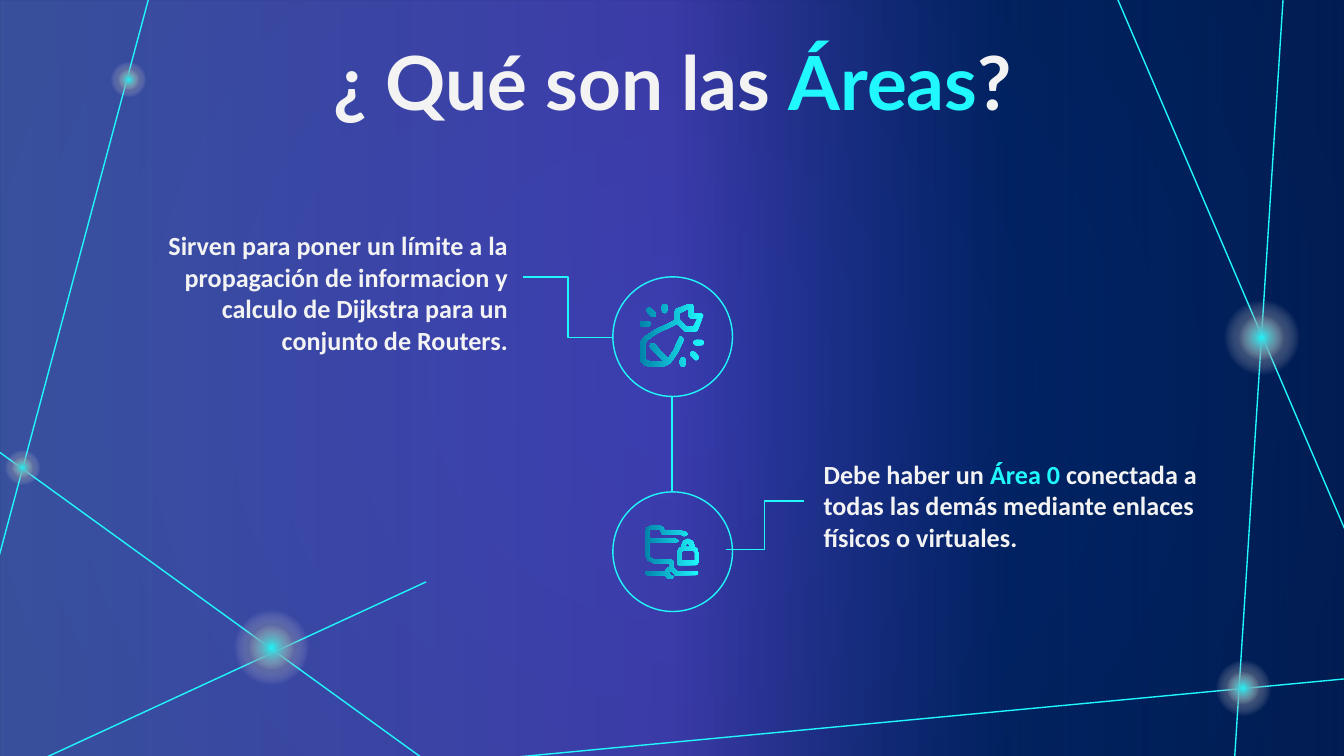
import math
from dataclasses import dataclass
from typing import NamedTuple

import pptx
import pptx.dml.color
import pptx.enum.shapes
import pptx.enum.text
import pptx.oxml.ns
import pptx.util
from lxml import etree

Inches = pptx.util.Inches
qn = pptx.oxml.ns.qn
Shapes = pptx.enum.shapes.MSO_SHAPE
Connectors = pptx.enum.shapes.MSO_CONNECTOR
Align = pptx.enum.text.PP_ALIGN


@dataclass(frozen=True)
class Theme:
    cyan: str = "20F8FD"
    teal: str = "0182AA"
    white: str = "F3F3F3"
    navy: str = "00183A"
    blue: str = "012060"
    title_font: str = "Lato"
    body_font: str = "Calibri"
    title_size: int = 40
    body_size: int = 14
    line_width: float = 0.75


class Stop(NamedTuple):
    position: int
    color: str
    opacity: int = 100


class Link(NamedTuple):
    x1: float
    y1: float
    x2: float
    y2: float
    kind: int = Connectors.STRAIGHT


class Glow(NamedTuple):
    x: float
    y: float
    size: float


class Note(NamedTuple):
    left: float
    top: float
    width: float
    spans: tuple
    align: int


THEME = Theme()
WIDTH = 10
HEIGHT = WIDTH * 9 / 16
ICON_STOPS = [Stop(0, THEME.cyan), Stop(100, THEME.teal)]
VEIL_STOPS = [Stop(0, "748BFF", 49), Stop(50, "7659FF", 50),
              Stop(75, "022E88", 35), Stop(100, THEME.blue, 60)]

NETWORK = [
    Link(8.31, -0.02, 10.02, 3.97), Link(9.55, -0.06, 9.18, 5.74),
    Link(3.77, 5.64, 10.13, 5.04), Link(-0.01, 3.36, 3.21, 5.69),
    Link(0.16, 5.72, 3.17, 4.33), Link(1.13, -0.1, -0.01, 4.15),
]
GLOWS = [Glow(9.39, 2.51, 0.79), Glow(9.25, 5.12, 0.58), Glow(2.02, 4.82, 0.79),
         Glow(0.17, 3.48, 0.37), Glow(0.96, 0.59, 0.37)]
NOTES = [
    Note(1.15, 1.61, 2.73,
         (("Sirven para poner un límite a la propagación de informacion y calculo "
           "de Dijkstra para un conjunto de Routers.", THEME.white),), Align.RIGHT),
    Note(6.03, 3.31, 3.07,
         (("Debe haber un ", THEME.white), ("Área 0 ", THEME.cyan),
          ("conectada a todas las demás mediante enlaces físicos o virtuales.",
           THEME.white)), Align.LEFT),
]
TITLE = (("¿ Qué son las ", THEME.white), ("Áreas", THEME.cyan), ("?", THEME.white))
RING_LEFT, RING_TOPS, RING_SIZE = 4.56, (2.06, 3.66), 0.89
DIAGRAM = [
    Link(3.89, 2.06, 4.56, 2.51, Connectors.ELBOW),
    Link(5.4, 4.09, 5.98, 3.73, Connectors.ELBOW),
    Link(5, 2.95, 5, 3.66),
]

WRENCH = [
    [(519, 246), (523, 236), (523.5, 234.5), (522, 233), (516, 233), (516, 228),
     (515, 226), (513, 226), (503, 230), (502, 232), (502, 238), (499, 240),
     (488, 245), (479, 251), (477, 254), (476, 258), (476, 266), (477, 269.5),
     (480, 272), (484, 273), (492, 273), (496, 272), (499, 270), (504, 263),
     (508, 255), (508.5, 253), (508, 251), (506, 250.5), (505, 252), (501, 261),
     (497, 267), (487, 256), (485.5, 255.5), (484, 256), (483.5, 257.5), (484, 259),
     (494, 269), (492, 269), (484, 269), (481, 268), (480, 266), (480, 258),
     (480.5, 255), (482, 253), (489, 248), (500, 243), (504, 241), (509, 246),
     (510, 247), (517, 247)],
    [(511, 243), (506, 238), (506, 233), (512, 230), (512, 235), (514, 237),
     (519, 237), (516, 243)],
]
RAYS = [(483, 231, 486, 234), (494.5, 228, 494.5, 231), (478, 241, 482, 241),
        (515.5, 263.5, 518, 266), (518, 255, 522, 255), (508, 268, 508, 271)]
FOLDER = [
    [(520, 426), (519.5, 427.5), (518, 428), (502, 428), (501, 426), (499, 425),
     (498, 426), (499, 428), (501, 429), (500.5, 430.5), (499, 431), (496, 430),
     (495, 428), (482, 428), (480.5, 427.5), (480, 426), (480.5, 425), (482, 425),
     (495, 425), (496, 423), (498, 422), (498, 419), (486, 419), (482, 417),
     (480, 413), (480, 396), (481.5, 392.5), (485, 391), (490, 391), (493, 392),
     (495, 395), (507, 395), (511, 396), (511.5, 397.5), (511, 398.5), (509, 399),
     (507, 398), (494, 398), (492.5, 397.5), (492, 396), (491.5, 394.5), (490, 394),
     (485, 394), (483.5, 394.5), (483, 396), (483, 401), (503, 401), (505, 402.5),
     (503, 404), (483, 404), (483, 413), (484, 415), (486, 416), (499, 416),
     (501, 417.5), (501, 422), (504, 425), (518, 425), (519.5, 425)],
    [(520, 411), (520, 419), (519.5, 420), (518, 420.5), (505, 420.5),
     (504, 420), (504, 419), (504, 411), (505, 408), (507, 407), (507, 406),
     (508.5, 402.5), (512, 401), (515.5, 402.5), (517, 406), (517, 407), (519, 408)],
    [(510, 406), (510, 407), (513, 407), (513, 406), (512, 404)],
    [(517, 411), (516, 410), (508, 410), (507, 411), (507, 417), (517, 417)],
]


def capsule(x1: float, y1: float, x2: float, y2: float, radius: float = 2) -> list:
    heading = math.atan2(y2 - y1, x2 - x1)
    points = []
    for x, y, start in ((x2, y2, heading - math.pi / 2), (x1, y1, heading + math.pi / 2)):
        angles = [start + step * math.pi / 6 for step in range(7)]
        points += [(x + radius * math.cos(a), y + radius * math.sin(a)) for a in angles]
    return points


def paint_gradient(fill, owner, stops: list, angle: int | None = None) -> None:
    fill.gradient()
    gradient = owner.find(".//" + qn("a:gradFill"))
    for child in list(gradient):
        gradient.remove(child)
    stop_list = etree.SubElement(gradient, qn("a:gsLst"))
    for stop in stops:
        mark = etree.SubElement(stop_list, qn("a:gs"), pos=str(stop.position * 1000))
        color = etree.SubElement(mark, qn("a:srgbClr"), val=stop.color)
        if stop.opacity < 100:
            etree.SubElement(color, qn("a:alpha"), val=str(stop.opacity * 1000))
    if angle is None:
        center = etree.SubElement(gradient, qn("a:path"), path="circle")
        etree.SubElement(center, qn("a:fillToRect"), l="50000", t="50000", r="50000", b="50000")
    else:
        etree.SubElement(gradient, qn("a:lin"), ang=str(angle * 60000), scaled="0")


def stroke(line) -> None:
    line.color.rgb = pptx.dml.color.RGBColor.from_string(THEME.cyan)
    line.width = pptx.util.Pt(THEME.line_width)


def add_plain(page, kind: int, left: float, top: float, width: float, height: float):
    shape = page.shapes.add_shape(kind, Inches(left), Inches(top), Inches(width), Inches(height))
    shape.shadow.inherit = False
    shape.fill.background()
    shape.line.fill.background()
    return shape


def draw_link(page, link: Link) -> None:
    ends = [Inches(value) for value in link[:4]]
    connector = page.shapes.add_connector(link.kind, *ends)
    stroke(connector.line)
    etree.SubElement(connector.element.spPr, qn("a:effectLst"))


def draw_glow(page, glow: Glow) -> None:
    for color, size in ((THEME.navy, glow.size), (THEME.cyan, glow.size * 0.6)):
        disc = add_plain(page, Shapes.OVAL, glow.x - size / 2, glow.y - size / 2, size, size)
        stops = [Stop(0, color), Stop(50, THEME.white, 0), Stop(100, THEME.white, 0)]
        paint_gradient(disc.fill, disc.element, stops)


def draw_icon(page, contours: list) -> None:
    scaled = [[(Inches(x / 100), Inches(y / 100)) for x, y in part] for part in contours]
    builder = page.shapes.build_freeform(*scaled[0][0])
    for part in scaled:
        if part is not scaled[0]:
            builder.move_to(*part[0])
        builder.add_line_segments(part[1:], close=True)
    icon = builder.convert_to_shape()
    icon.shadow.inherit = False
    icon.line.fill.background()
    paint_gradient(icon.fill, icon.element, ICON_STOPS, 180)


def write(box, spans: tuple, *, font: str, size: int, align: int) -> None:
    frame = box.text_frame
    frame.word_wrap = True
    frame.auto_size = pptx.enum.text.MSO_AUTO_SIZE.NONE
    frame.vertical_anchor = pptx.enum.text.MSO_ANCHOR.TOP
    frame.margin_left = frame.margin_right = Inches(0.1)
    frame.margin_top = frame.margin_bottom = Inches(0.1)
    para = frame.paragraphs[0]
    para.alignment = align
    for text, color in spans:
        span = para.add_run()
        span.text = text
        span.font.name = font
        span.font.size = pptx.util.Pt(size)
        span.font.bold = True
        span.font.color.rgb = pptx.dml.color.RGBColor.from_string(color)


def main() -> None:
    deck = pptx.Presentation()
    deck.slide_width, deck.slide_height = Inches(WIDTH), Inches(HEIGHT)
    page = deck.slides.add_slide(deck.slide_layouts[5])
    paint_gradient(page.background.fill, page.element,
                   [Stop(0, THEME.blue), Stop(100, THEME.navy)])
    veil = add_plain(page, Shapes.RECTANGLE, 0, 0, WIDTH, HEIGHT)
    paint_gradient(veil.fill, veil.element, VEIL_STOPS, 0)
    for link in NETWORK:
        draw_link(page, link)
    for glow in GLOWS:
        draw_glow(page, glow)
    for note in NOTES:
        box = page.shapes.add_textbox(Inches(note.left), Inches(note.top),
                                      Inches(note.width), Inches(0.89))
        write(box, note.spans, font=THEME.body_font, size=THEME.body_size, align=note.align)
    title = page.shapes.title
    title.left, title.top = Inches(0.79), Inches(0.17)
    title.width, title.height = Inches(8.43), Inches(0.69)
    write(title, TITLE, font=THEME.title_font, size=THEME.title_size, align=Align.CENTER)
    page.shapes.element.append(title.element)
    for top in RING_TOPS:
        stroke(add_plain(page, Shapes.OVAL, RING_LEFT, top, RING_SIZE, RING_SIZE).line)
    for link in DIAGRAM:
        draw_link(page, link)
    draw_icon(page, WRENCH + [capsule(*ray) for ray in RAYS])
    draw_icon(page, FOLDER)
    deck.save("out.pptx")


if __name__ == "__main__":
    main()
